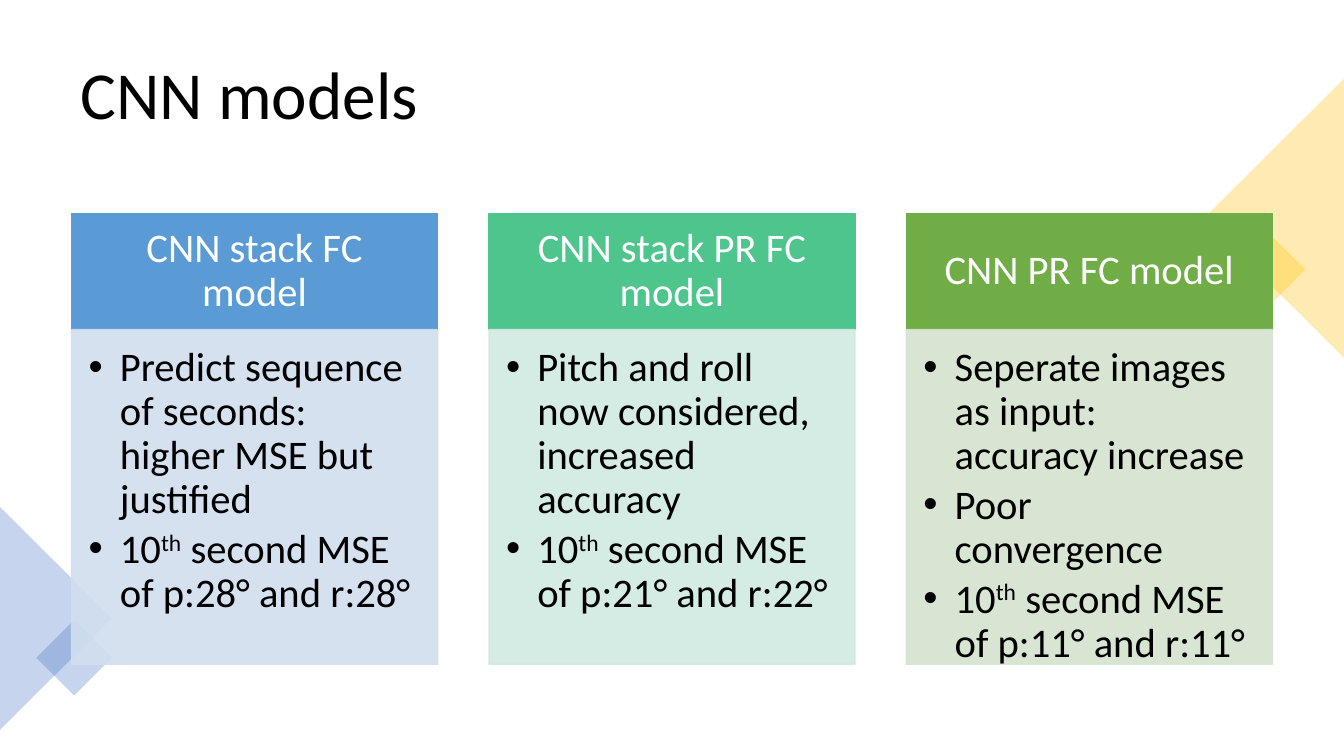
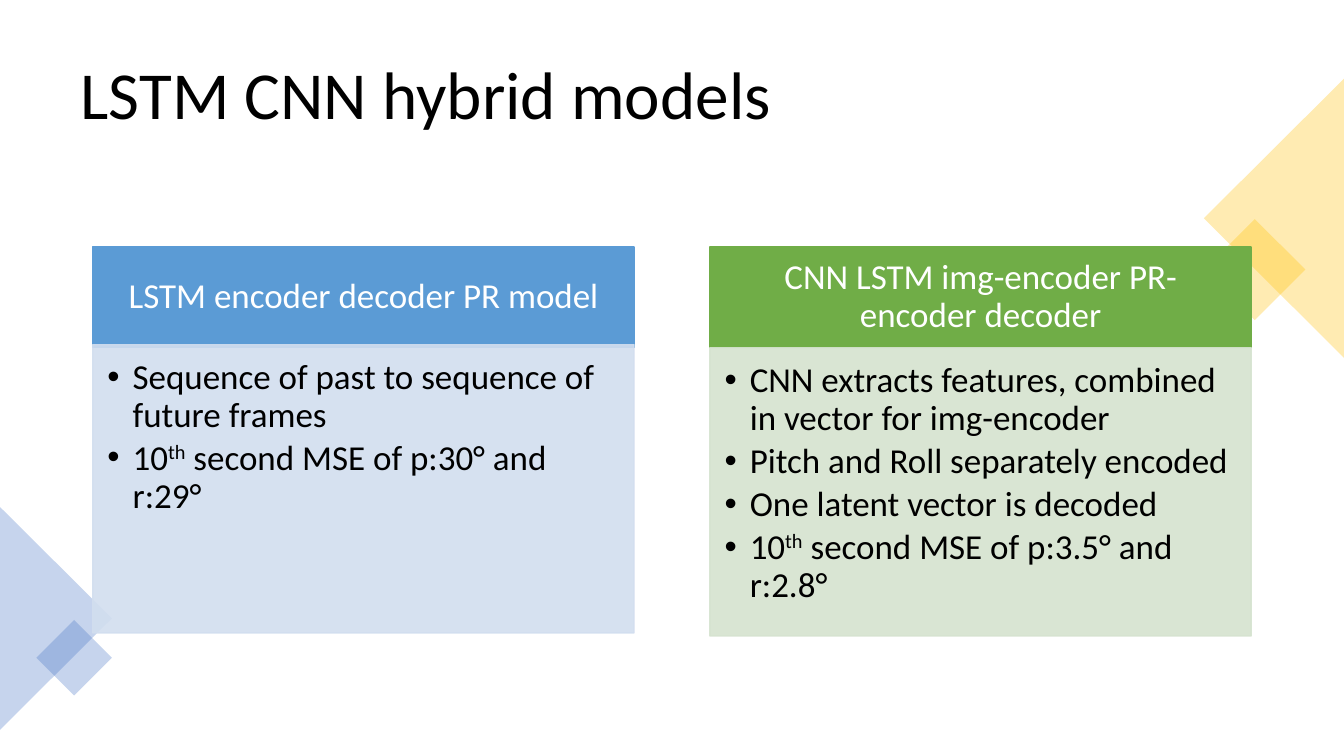
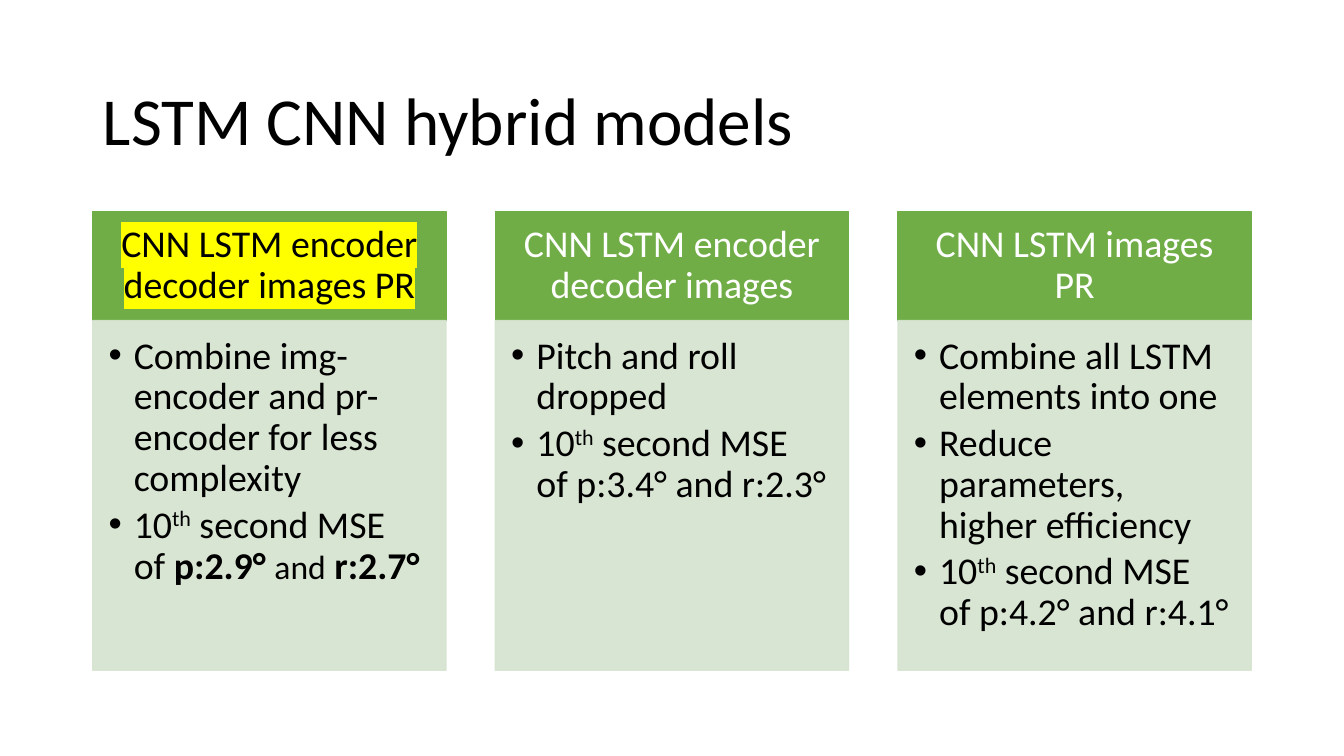
import dataclasses
import lxml.etree
import pptx
import pptx.dml.color
import pptx.enum.shapes
import pptx.enum.text
import pptx.oxml.ns
import pptx.util

Inches = pptx.util.Inches
Pt = pptx.util.Pt
Shape = pptx.enum.shapes.MSO_SHAPE
Anchor = pptx.enum.text.MSO_ANCHOR
Align = pptx.enum.text.PP_ALIGN


@dataclasses.dataclass(frozen=True)
class Theme:
    font: str = "Calibri"
    title_size: int = 48
    large: int = 29
    medium: int = 27
    small: int = 25
    remark: int = 24
    line_spacing: float = 0.9
    black: str = "000000"
    white: str = "FFFFFF"
    highlight: str = "FFFF00"
    gold: str = "FFC000"
    indigo: str = "4472C4"
    blue: tuple = ("5B9BD5", "D2DEEF")
    teal: tuple = ("4DC58D", "D0EAE1")
    green: tuple = ("70AD47", "D5E3CF")
    decor_opacity: int = 30
    body_opacity: int = 90
    gap_ratio: float = 0.14


@dataclasses.dataclass(frozen=True)
class Box:
    left: float
    top: float
    width: float
    height: float

    def lengths(self):
        return [Inches(value) for value in dataclasses.astuple(self)]


@dataclasses.dataclass(frozen=True)
class Card:
    heading: str
    points: list
    colours: tuple
    marked: bool = False
    overlap: float = 0


theme = Theme()


def rgb(colour):
    return pptx.dml.color.RGBColor.from_string(colour)


def add_element(parent, tag, **attributes):
    element = lxml.etree.SubElement(parent, pptx.oxml.ns.qn(tag))
    for name, value in attributes.items():
        element.set(name, str(value))
    return element


def add_panel(page, box, colour, kind=Shape.RECTANGLE, opacity=100, rotation=0, outlined=False):
    panel = page.shapes.add_shape(kind, *box.lengths())
    panel.shadow.inherit = False
    panel.rotation = rotation
    panel.fill.solid()
    panel.fill.fore_color.rgb = rgb(colour)
    if outlined:
        panel.line.color.rgb = rgb(colour)
        panel.line.width = Pt(1)
    else:
        panel.line.fill.background()
    if opacity < 100:
        for tint in list(panel._element.spPr.iter(pptx.oxml.ns.qn("a:srgbClr"))):
            add_element(tint, "a:alpha", val=opacity * 1000)
    return panel


def add_span(para, text, size, colour=theme.black, bold=False, raised=False, marked=False):
    span = para.add_run()
    span.text = text
    span.font.size = Pt(size)
    span.font.bold = bold
    span.font.color.rgb = rgb(colour)
    properties = span._r.get_or_add_rPr()
    if raised:
        properties.set("baseline", "30000")
    if marked:
        add_element(add_element(properties, "a:highlight"), "a:srgbClr", val=theme.highlight)
    span.font.name = theme.font


def write_text(shape, paragraphs, size, anchor=Anchor.TOP, align=Align.LEFT,
               colour=theme.black, margins=None, spacing=0, indent=0, marked=False):
    frame = shape.text_frame
    frame.word_wrap = True
    frame.auto_size = pptx.enum.text.MSO_AUTO_SIZE.NONE
    frame.vertical_anchor = anchor
    if margins:
        frame.margin_left, frame.margin_top, frame.margin_right, frame.margin_bottom = [
            Inches(margin) for margin in margins]
    for index, content in enumerate(paragraphs):
        para = frame.add_paragraph() if index else frame.paragraphs[0]
        para.alignment = align
        para.line_spacing = theme.line_spacing
        para.space_after = Pt(round(spacing * size, 2))
        if indent:
            properties = para._p.get_or_add_pPr()
            properties.set("marL", str(Inches(indent)))
            properties.set("indent", str(-Inches(indent)))
            add_element(properties, "a:buFont", typeface="Arial")
            add_element(properties, "a:buChar", char="•")
        spans = [(content, {})] if isinstance(content, str) else content
        for text, extra in spans:
            add_span(para, text, **{"size": size, "colour": colour, "marked": marked, **extra})


def error_point(*spans):
    return [("10", {}), ("th", {"raised": True}), (" second MSE of ", {}), *spans]


def errors(pitch, roll):
    return error_point((f"p:{pitch}° and r:{roll}°", {}))


def add_title(page, box, text):
    title = page.shapes.title
    title.left, title.top, title.width, title.height = box.lengths()
    write_text(title, [text], theme.title_size, anchor=Anchor.MIDDLE)


def add_corners(page):
    for box, colour, kind, rotation in (
        (Box(12.09, 2.32, 0.71, 0.71), theme.gold, Shape.RECTANGLE, 45),
        (Box(11.25, 1.47, 2.77, 1.39), theme.gold, Shape.ISOSCELES_TRIANGLE, 270),
        (Box(-0.55, 5.58, 2.21, 1.11), theme.indigo, Shape.ISOSCELES_TRIANGLE, 90),
        (Box(0.47, 6.26, 0.53, 0.53), theme.indigo, Shape.RECTANGLE, 45),
    ):
        add_panel(page, box, colour, kind, theme.decor_opacity, rotation)


def add_card(page, box, card, heading_height, size, indent):
    em = size / 72
    heading_colour, body_colour = card.colours
    heading = add_panel(page, Box(box.left, box.top, box.width, heading_height),
                        heading_colour, outlined=True)
    write_text(heading, [card.heading], size, anchor=Anchor.MIDDLE, align=Align.CENTER,
               colour=theme.black if card.marked else theme.white, marked=card.marked,
               margins=(0.56 * em, 0.32 * em) * 2, spacing=0.35)
    body = add_panel(page, Box(box.left, box.top + heading_height - card.overlap, box.width,
                               box.height - heading_height),
                     body_colour, opacity=theme.body_opacity, outlined=True)
    write_text(body, card.points, size, indent=indent, spacing=0.15,
               margins=(0.42 * em, 0.42 * em, 0.56 * em, 0.63 * em))


def add_cards(page, box, cards, **style):
    width = box.width / (len(cards) + theme.gap_ratio * (len(cards) - 1))
    step = width * (1 + theme.gap_ratio)
    for index, card in enumerate(cards):
        add_card(page, Box(box.left + index * step, box.top, width, box.height), card, **style)


def add_model_page(deck, title, title_box, cards, cards_box, corners=True, **style):
    page = deck.slides.add_slide(deck.slide_layouts.get_by_name("Title Only"))
    add_title(page, title_box, title)
    if corners:
        add_corners(page)
    add_cards(page, cards_box, cards, **style)


deck = pptx.Presentation()
deck.slide_width = Inches(13.33)
deck.slide_height = Inches(7.5)
upper_title = Box(0.7, 0.35, 11.93, 1.24)
hybrid_title = "LSTM CNN hybrid models"

add_model_page(deck, "CNN models", upper_title, [
    Card("CNN stack FC model", [
        "Predict sequence of seconds: higher MSE but justified", errors(28, 28)], theme.blue),
    Card("CNN stack PR FC model", [
        "Pitch and roll now considered, increased accuracy", errors(21, 22)], theme.teal),
    Card("CNN PR FC model", [
        "Seperate images as input: accuracy increase", "Poor convergence",
        errors(11, 11)], theme.green),
], Box(0.71, 2.12, 11.91, 4.47), heading_height=1.15, size=theme.large, indent=0.31)

add_model_page(deck, hybrid_title, upper_title, [
    Card("LSTM encoder decoder PR model", [
        "Sequence of past to sequence of future frames", errors(30, 29)],
        theme.blue, overlap=0.03),
    Card("CNN LSTM img-encoder PR-encoder decoder", [
        "CNN extracts features, combined in vector for img-encoder",
        "Pitch and Roll separately encoded", "One latent vector is decoded",
        errors(3.5, 2.8)], theme.green),
], Box(0.92, 2.45, 11.49, 3.86), heading_height=1, size=theme.small, indent=0.25)

add_model_page(deck, hybrid_title, Box(0.92, 0.61, 11.5, 1.24), [
    Card("CNN LSTM encoder decoder images PR", [
        "Combine img-encoder and pr-encoder for less complexity",
        error_point(("p:2.9° ", {"bold": True}), ("and", {"size": theme.remark}),
                    (" ", {}), ("r:2.7°", {"bold": True}))], theme.green, marked=True),
    Card("CNN LSTM encoder decoder images", [
        "Pitch and roll dropped", errors(3.4, 2.3)], theme.green),
    Card("CNN LSTM images PR", [
        "Combine all LSTM elements into one", "Reduce parameters, higher efficiency",
        errors(4.2, 4.1)], theme.green),
], Box(0.92, 2.1, 11.49, 4.55), corners=False, heading_height=1.08, size=theme.medium, indent=0.25)

deck.save("out.pptx")
